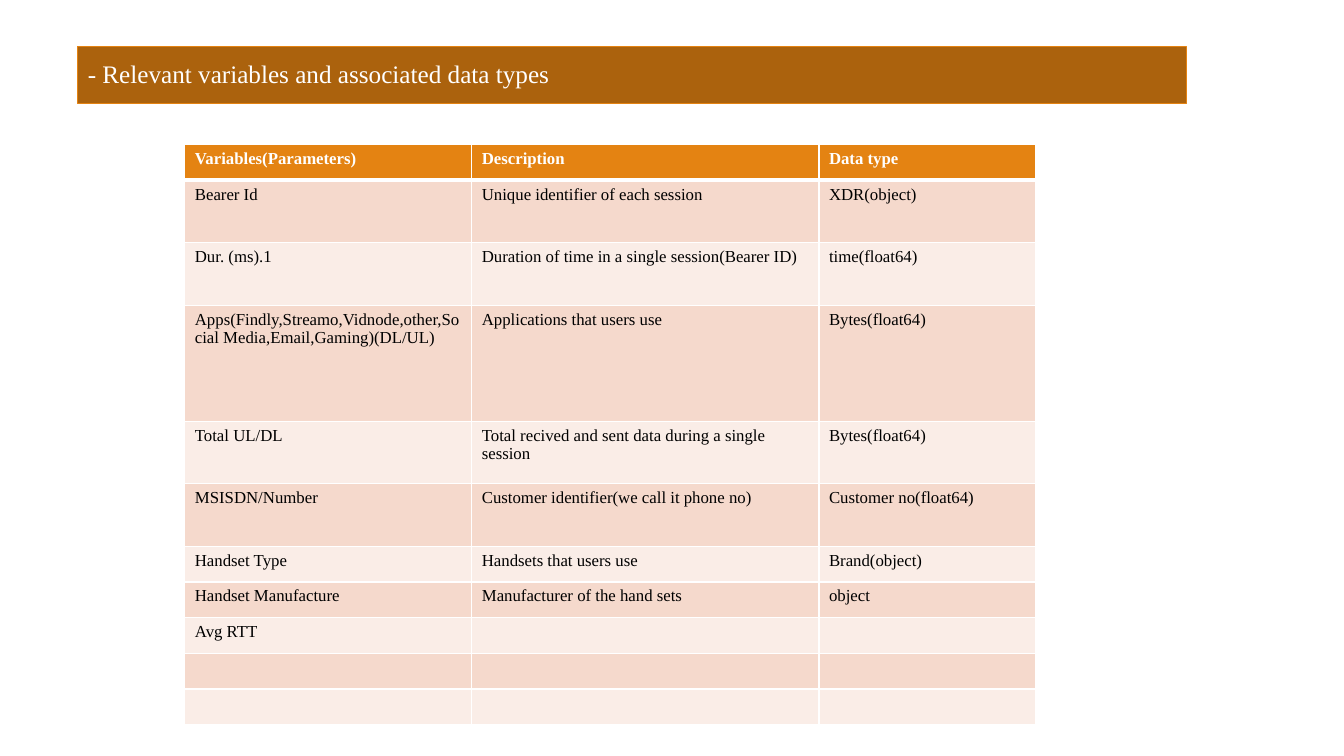
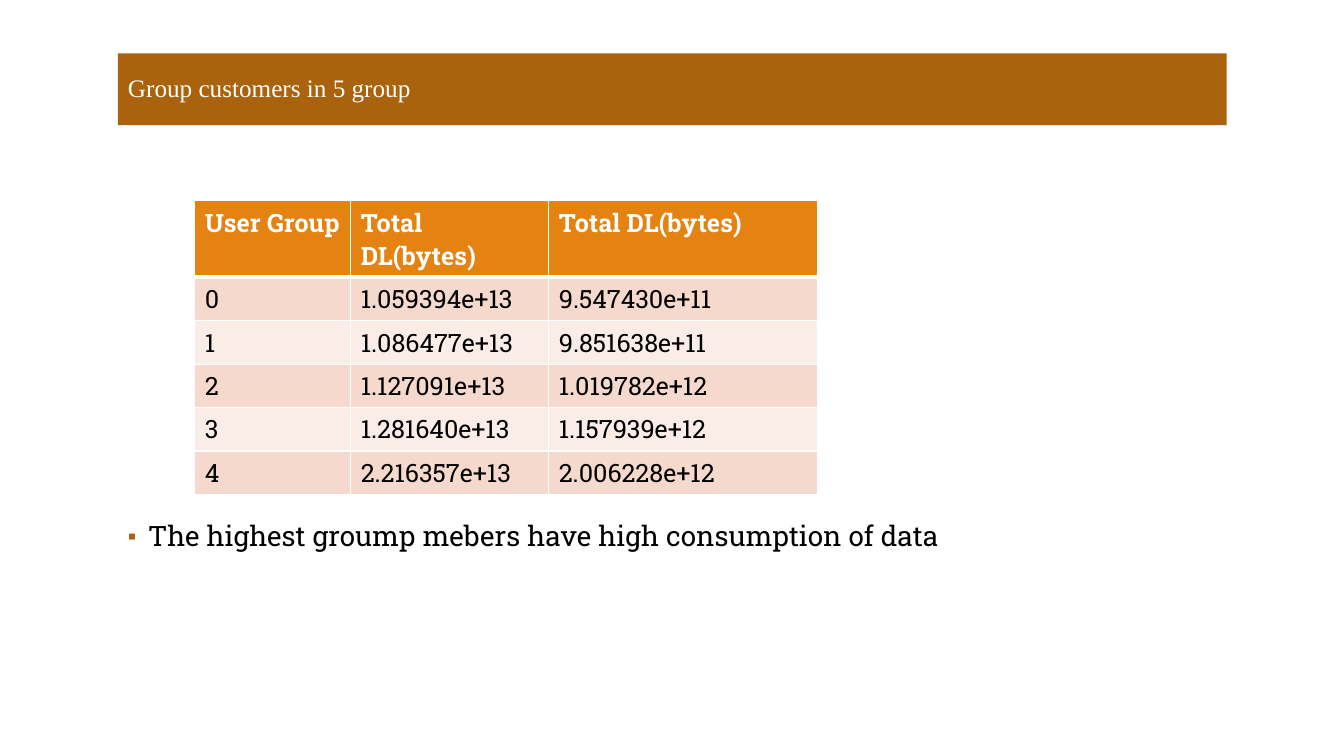
from dataclasses import dataclass
from typing import Optional

from lxml.etree import SubElement
from pptx import Presentation
from pptx.dml.color import RGBColor
from pptx.enum.text import MSO_ANCHOR as Anchor, MSO_AUTO_SIZE as AutoSize, PP_ALIGN as Align
from pptx.oxml.ns import qn
from pptx.util import Pt


# Theme: colours, fonts and type sizes
@dataclass(frozen=True)
class Theme:
    band: str = "AB620D"
    accent: str = "E48312"
    white: str = "FFFFFF"
    black: str = "000000"
    stripes: tuple[str, str] = ("F5D9CC", "FAEDE7")
    serif: str = "Times New Roman"
    slab: str = "Roboto Slab"
    title_size: float = 18
    body_size: float = 20
    line_spacing: float = 0.9
    rule: float = 1
    header_rule: float = 3


THEME = Theme()
TITLE_ONLY, TITLE_AND_CONTENT = 5, 1


@dataclass(frozen=True)
class Box:
    left: float
    top: float
    width: float
    height: float


@dataclass(frozen=True)
class TitleBand:
    text: str
    box: Box
    outline: Optional[str] = None


@dataclass(frozen=True)
class Grid:
    left: float
    top: float
    columns: tuple[float, ...]
    heights: tuple[float, ...]
    rows: tuple[tuple[str, ...], ...]
    font: str
    size: float


@dataclass(frozen=True)
class BulletText:
    text: str
    box: Box


@dataclass(frozen=True)
class Page:
    title: TitleBand
    grid: Grid
    bullet: Optional[BulletText] = None


# Content
SHORT, MEDIUM, TALL = 25.5, 44.7, 82.8

PAGES = (
    Page(
        TitleBand("- Relevant variables and associated data types",
                  Box(55.5, 33.2, 792, 41), THEME.accent),
        Grid(
            132, 103.2, (205, 248, 154.5),
            (SHORT, MEDIUM, MEDIUM, TALL, MEDIUM, MEDIUM) + (SHORT,) * 5,
            (
                ("Variables(Parameters)", "Description", "Data type"),
                ("Bearer Id", "Unique identifier of each session", "XDR(object)"),
                ("Dur. (ms).1", "Duration of time in a single session(Bearer ID)",
                 "time(float64)"),
                ("Apps(Findly,Streamo,Vidnode,other,Social Media,Email,Gaming)(DL/UL)",
                 "Applications that users use", "Bytes(float64)"),
                ("Total UL/DL", "Total recived and sent data during a single session",
                 "Bytes(float64)"),
                ("MSISDN/Number", "Customer identifier(we call it phone no)",
                 "Customer no(float64)"),
                ("Handset Type", "Handsets that users use", "Brand(object)"),
                ("Handset Manufacture", "Manufacturer of the hand sets", "object"),
                ("Avg RTT", "", ""),
                ("", "", ""),
                ("", "", ""),
            ),
            THEME.serif, 12,
        ),
    ),
    Page(
        TitleBand("Group customers in 5 group", Box(84.2, 38.2, 792, 51.2)),
        Grid(
            139.2, 143.3, (111.3, 141.5, 192), (53.5,) + (30.9,) * 5,
            (
                ("User Group", "Total DL(bytes)", "Total DL(bytes)"),
                ("0", "1.059394e+13", "9.547430e+11"),
                ("1", "1.086477e+13", "9.851638e+11"),
                ("2", "1.127091e+13", "1.019782e+12"),
                ("3", "1.281640e+13", "1.157939e+12"),
                ("4", "2.216357e+13", "2.006228e+12"),
            ),
            THEME.slab, 18,
        ),
        BulletText("The highest groump mebers have high consumption of data",
                   Box(84.2, 369.5, 792, 116.5)),
    ),
)


# Helpers
def rgb(value: str) -> RGBColor:
    return RGBColor.from_string(value)


def place(shape, box: Box) -> None:
    shape.left, shape.top = Pt(box.left), Pt(box.top)
    shape.width, shape.height = Pt(box.width), Pt(box.height)


def set_font(para, name: str, size: float, color: str, bold: bool = False) -> None:
    font = para.font
    font.name, font.size, font.bold = name, Pt(size), bold
    font.color.rgb = rgb(color)


def set_borders(cell, top: float, bottom: float) -> None:
    properties = cell._tc.get_or_add_tcPr()
    sides = (("L", THEME.rule), ("R", THEME.rule), ("T", top), ("B", bottom))
    for side, width in sides:
        line = SubElement(properties, qn(f"a:ln{side}"), w=str(Pt(width)))
        fill = SubElement(line, qn("a:solidFill"))
        SubElement(fill, qn("a:srgbClr"), val=THEME.white)


def set_bullet(para, indent: float) -> None:
    properties = para._p.get_or_add_pPr()
    properties.set("marL", str(Pt(indent)))
    properties.set("indent", str(Pt(-indent)))
    color = SubElement(properties, qn("a:buClr"))
    SubElement(color, qn("a:srgbClr"), val=THEME.band)
    SubElement(properties, qn("a:buSzPct"), val="85000")
    SubElement(properties, qn("a:buChar"), char="▪")


# Slide parts
def draw_title(shape, title: TitleBand) -> None:
    place(shape, title.box)
    shape.fill.solid()
    shape.fill.fore_color.rgb = rgb(THEME.band)
    if title.outline:
        shape.line.color.rgb = rgb(title.outline)
        shape.line.width = Pt(0.75)
    else:
        shape.line.fill.background()
    frame = shape.text_frame
    frame.text = title.text
    frame.auto_size = AutoSize.NONE
    frame.vertical_anchor = Anchor.MIDDLE
    para = frame.paragraphs[0]
    para.alignment = Align.LEFT
    para.line_spacing = THEME.line_spacing
    set_font(para, THEME.serif, THEME.title_size, THEME.white)


def draw_grid(slide, grid: Grid) -> None:
    frame = slide.shapes.add_table(
        len(grid.rows), len(grid.columns), Pt(grid.left), Pt(grid.top),
        Pt(sum(grid.columns)), Pt(sum(grid.heights)))
    table = frame.table
    for column, width in zip(table.columns, grid.columns):
        column.width = Pt(width)
    for index, (row, height, texts) in enumerate(zip(table.rows, grid.heights, grid.rows)):
        row.height = Pt(height)
        header = index == 0
        color = THEME.accent if header else THEME.stripes[(index - 1) % 2]
        for cell, text in zip(row.cells, texts):
            set_borders(cell,
                        top=THEME.header_rule if index == 1 else THEME.rule,
                        bottom=THEME.header_rule if header else THEME.rule)
            cell.fill.solid()
            cell.fill.fore_color.rgb = rgb(color)
            cell.text = text
            set_font(cell.text_frame.paragraphs[0], grid.font, grid.size,
                     THEME.white if header else THEME.black, bold=header)


def draw_bullet(shape, bullet: BulletText) -> None:
    place(shape, bullet.box)
    frame = shape.text_frame
    frame.text = bullet.text
    frame.auto_size = AutoSize.NONE
    frame.vertical_anchor = Anchor.TOP
    para = frame.paragraphs[0]
    set_bullet(para, 14.4)
    para.line_spacing = THEME.line_spacing
    para.space_before = Pt(0)
    set_font(para, THEME.slab, THEME.body_size, THEME.black)


def add_page(deck, page: Page) -> None:
    layout = deck.slide_layouts[TITLE_AND_CONTENT if page.bullet else TITLE_ONLY]
    slide = deck.slides.add_slide(layout)
    draw_title(slide.shapes.title, page.title)
    if page.bullet:
        draw_bullet(slide.placeholders[1], page.bullet)
    draw_grid(slide, page.grid)


def main() -> None:
    deck = Presentation()
    deck.slide_width, deck.slide_height = Pt(960), Pt(540)
    for page in PAGES:
        add_page(deck, page)
    deck.save("out.pptx")


if __name__ == "__main__":
    main()
